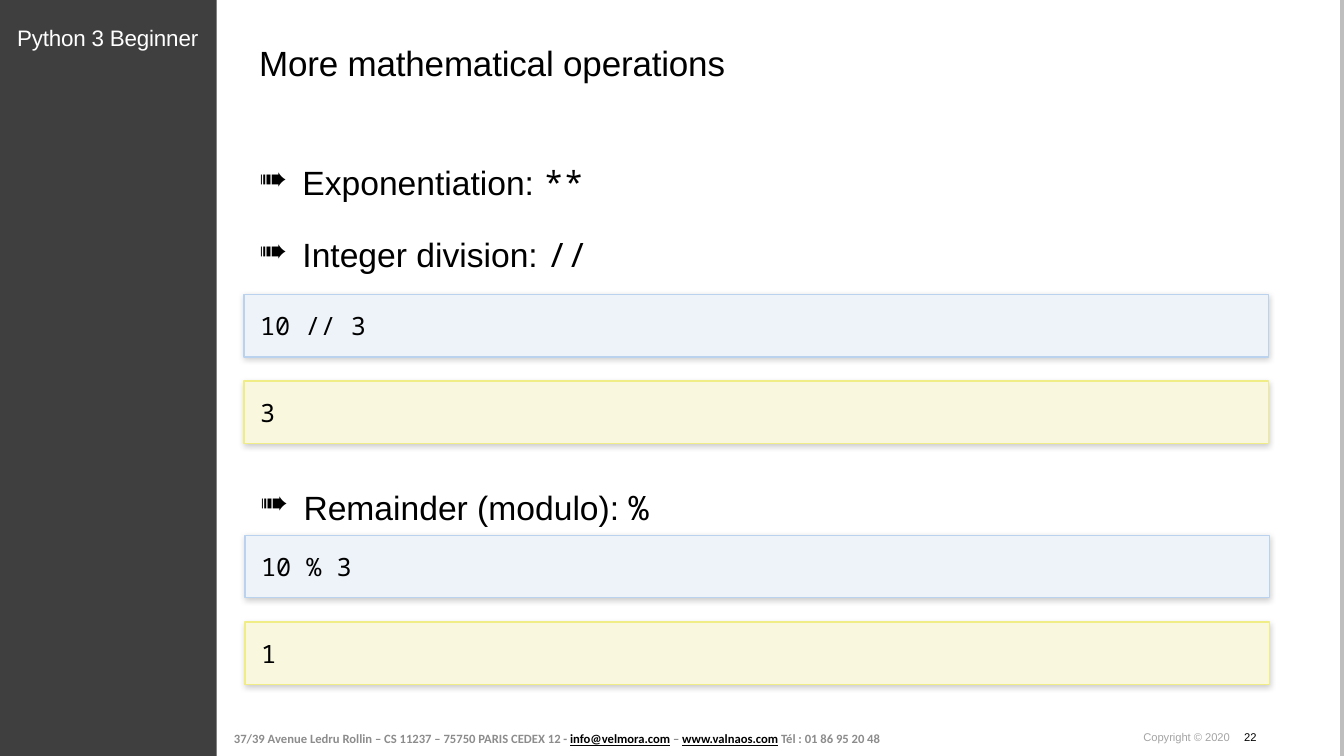
from lxml import etree
from pptx import Presentation
from pptx.dml.color import RGBColor
from pptx.enum import shapes, text
from pptx.oxml import ns
from pptx.util import Inches, Pt

COLORS = {
    "page": "FFFFFF", "sidebar": "3F3F3F", "edge": "BEBEBE", "ink": "000000",
    "address": "8C8C8C", "copyright": "A4A4A4",
    "code": "EEF3F9", "code_line": "BBD2EE",
    "result": "F9F8DF", "result_line": "F1ED86",
}
SANS, MONO, SMALL = "Arial", "Noto Sans Mono", "Calibri"


def rgb(name):
    return RGBColor.from_string(COLORS[name])


def sub(parent, tag, **attrs):
    return etree.SubElement(parent, ns.qn(tag), attrs)


def add_run(p, words, size, font=SANS, color="ink", spacing=0):
    r = p.add_run()
    r.text = words
    r.font.size, r.font.name = Pt(size), font
    r.font.color.rgb = rgb(color)
    if spacing:
        r.font._element.set("spc", str(spacing))
    return r


def set_indent(p, left, first=0):
    pPr = p._p.get_or_add_pPr()
    pPr.set("marL", str(Inches(left)))
    pPr.set("indent", str(Inches(first)))
    return pPr


def add_box(s, box, inset=(0, 0)):
    tf = s.shapes.add_textbox(*map(Inches, box)).text_frame
    tf.word_wrap = True
    tf.margin_left = tf.margin_right = Inches(inset[0])
    tf.margin_top = tf.margin_bottom = Inches(inset[1])
    return tf


def add_sidebar(s, left, top, width, height):
    panel = s.shapes.add_shape(shapes.MSO_SHAPE.RECTANGLE,
                               *map(Inches, (left, top, width, height)))
    panel.shadow.inherit = False
    panel.fill.solid()
    panel.fill.fore_color.rgb = rgb("sidebar")
    panel.line.fill.background()
    tf = add_box(s, (left + 0.16, top + 0.24, width - 0.34, 0.54))
    set_indent(tf.paragraphs[0], 0.01)
    add_run(tf.paragraphs[0], "Python 3 Beginner", 16, color="page", spacing=-10)


def add_edge(s, x, top, bottom):
    line = s.shapes.add_connector(shapes.MSO_CONNECTOR.STRAIGHT,
                                  *map(Inches, (x, top, x, bottom)))
    line.line.color.rgb = rgb("edge")
    line.line.width = Pt(3.34)
    sub(line._element.spPr, "a:effectLst")


def add_title(s, *box):
    p = add_box(s, box).paragraphs[0]
    set_indent(p, 1.71)
    add_run(p, "More mathematical operations", 25, spacing=-10)


def add_bullets(s, items, *box):
    tf = add_box(s, box)
    for i, (label, operator) in enumerate(items):
        p = tf.paragraphs[0] if i == 0 else tf.add_paragraph()
        p.line_spacing = 1.5
        if i:
            p.space_before = Pt(8.1)
        sub(set_indent(p, 2.24, -0.43), "a:buChar", char="➠")
        add_run(p, label + ": ", 24)
        add_run(p, operator, 24, MONO)


def add_panel(s, words, style, *box):
    sp = s.shapes.add_shape(shapes.MSO_SHAPE.RECTANGLE, *map(Inches, box))
    sp.fill.solid()
    sp.fill.fore_color.rgb = rgb(style)
    sp.line.color.rgb = rgb(style + "_line")
    sp.line.width = Pt(1)
    # Soft shadow straight below
    effects = sub(sp._element.spPr, "a:effectLst")
    shadow = sub(effects, "a:outerShdw", blurRad=str(Pt(4)), dist=str(Pt(1)),
                 dir="5400000", algn="t", rotWithShape="0")
    sub(sub(shadow, "a:srgbClr", val=COLORS["ink"]), "a:alpha", val="20000")
    tf = sp.text_frame
    tf.margin_left = tf.margin_right = Inches(0.16)
    tf.margin_top = tf.margin_bottom = Inches(0.16)
    tf.vertical_anchor = text.MSO_ANCHOR.TOP
    p = tf.paragraphs[0]
    p.alignment = text.PP_ALIGN.LEFT
    add_run(p, words, 18, MONO)


def add_example(s, code, result, left, top, width):
    height, pitch = 0.62, 0.86
    add_panel(s, code, "code", left, top, width, height)
    add_panel(s, result, "result", left, top + pitch, width, height)


def add_address(s, *box):
    tf = add_box(s, box, (0.07, 0.04))
    tf.vertical_anchor = text.MSO_ANCHOR.MIDDLE
    parts = [
        ("37/39 Avenue Ledru Rollin – CS 11237 – 75750 PARIS CEDEX 12 - ", False),
        ("info@velmora.com", True),
        (" – ", False),
        ("www.valnaos.com", True),
        (" Tél : 01 86 95 20 48", False),
    ]
    for words, contact in parts:
        r = add_run(tf.paragraphs[0], words, 9, SMALL, "ink" if contact else "address")
        r.font.bold = True
        r.font.underline = contact


def add_page_number(s, *box):
    p = add_box(s, box).paragraphs[0]
    tabs = sub(set_indent(p, 0.01), "a:tabLst")
    sub(tabs, "a:tab", pos=str(Inches(0.99)), algn="l")
    add_run(p, "Copyright © 2020\t", 8, color="copyright", spacing=-5)
    add_run(p, "22", 8)


def main():
    prs = Presentation()
    prs.slide_width, prs.slide_height = Inches(13.33), Inches(7.5)
    s = prs.slides.add_slide(prs.slide_layouts[6])
    s.background.fill.solid()
    s.background.fill.fore_color.rgb = rgb("page")

    # Frame
    add_edge(s, 13.31, 0, 7.5)
    add_sidebar(s, 0, 0, 2.15, 7.5)
    add_address(s, 2.25, 7.17, 6.68, 0.32)
    add_page_number(s, 11.33, 7.25, 1.72, 0.13)

    # Content
    add_title(s, 0.86, 0.41, 11.62, 0.42)
    add_bullets(s, [("Exponentiation", "**"), ("Integer division", "//")],
                0.76, 1.41, 11.82, 1.26)
    add_example(s, "10 // 3", "3", 2.42, 2.92, 10.16)
    add_bullets(s, [("Remainder (modulo)", "%")], 0.77, 4.63, 11.82, 0.54)
    add_example(s, "10 % 3", "1", 2.43, 5.31, 10.16)

    prs.save("out.pptx")


if __name__ == "__main__":
    main()
